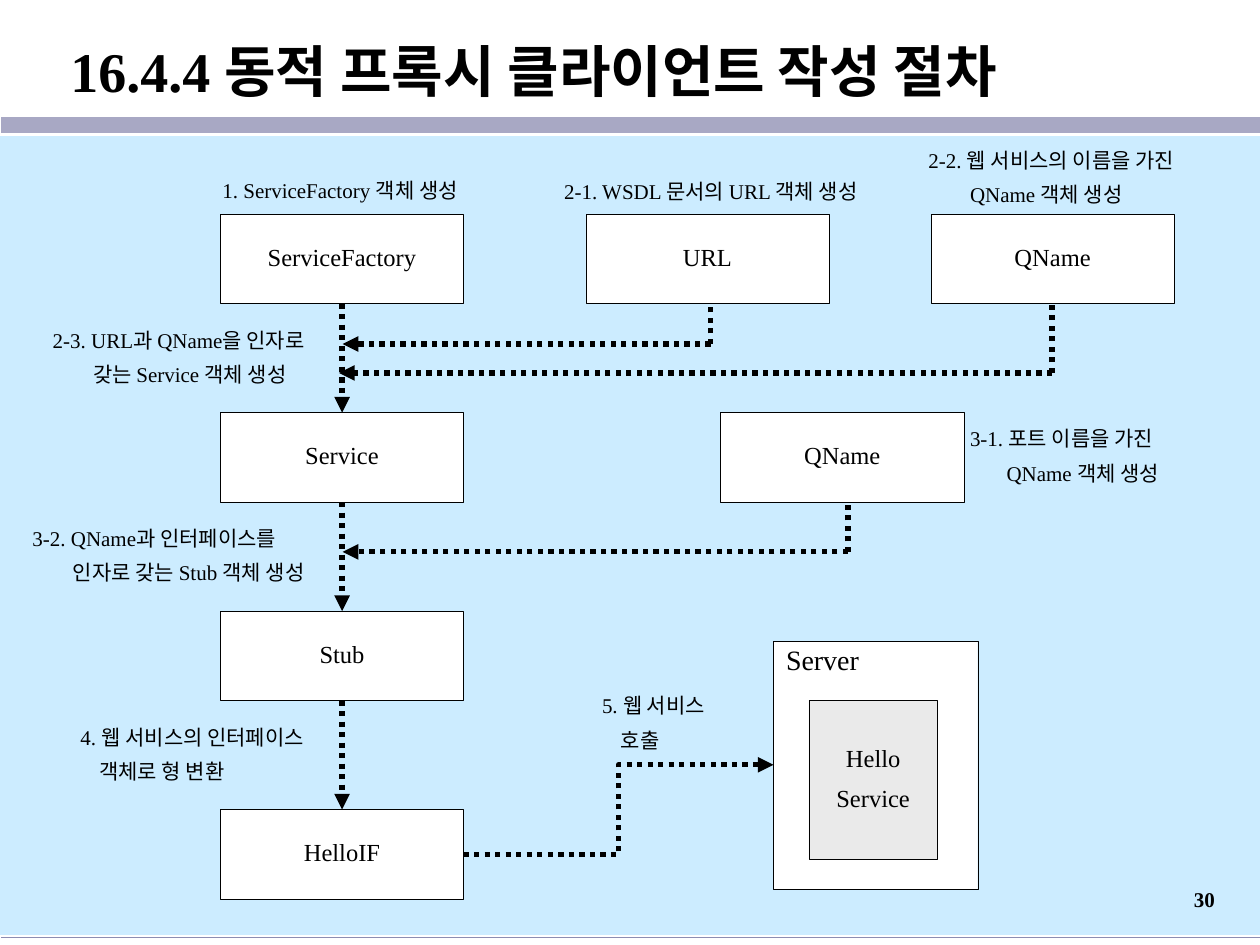
import pptx
import pptx.dml.color
import pptx.enum.dml
import pptx.enum.shapes
import pptx.enum.text
import pptx.oxml
import pptx.oxml.ns
import pptx.util

Inches = pptx.util.Inches
Pt = pptx.util.Pt
ALIGN = pptx.enum.text.PP_ALIGN
ANCHOR = pptx.enum.text.MSO_ANCHOR
CONNECTOR = pptx.enum.shapes.MSO_CONNECTOR

FONT = "Times New Roman"
BOX_WIDTH, BOX_HEIGHT = 1.93, 0.71
FLOW_LEFT, FLOW_TOP, FLOW_STEP = 1.75, 1.7, 1.575
FLOW_X = FLOW_LEFT + BOX_WIDTH / 2


def color(hex_string):
    return pptx.dml.color.RGBColor.from_string(hex_string)


def write(shape, lines, size, align=ALIGN.LEFT, anchor=ANCHOR.TOP,
          bold=False, wrap=False, spacing=0.85, hanging=0):
    """Fill a shape with paragraphs; hanging indents all lines but the first."""
    frame = shape.text_frame
    frame.word_wrap = wrap
    frame.vertical_anchor = anchor
    for index, line in enumerate(lines):
        paragraph = frame.add_paragraph() if index else frame.paragraphs[0]
        paragraph.text = line
        paragraph.alignment = align
        paragraph.line_spacing = spacing
        if index:
            paragraph.space_before = Pt(size * 0.625)
            paragraph._p.get_or_add_pPr().set("marL", str(Inches(hanging)))
        paragraph.font.name = FONT
        paragraph.font.size = Pt(size)
        paragraph.font.bold = bold
        paragraph.font.color.rgb = color("000000")


def add_text(slide, left, top, width, height, lines, size, **style):
    box = slide.shapes.add_textbox(
        Inches(left), Inches(top), Inches(width), Inches(height))
    write(box, lines, size, **style)
    return box


def add_label(slide, left, top, width, lines, hanging=0, align=ALIGN.LEFT):
    height = 0.27 if len(lines) == 1 else 0.55
    box = add_text(slide, left, top, width, height, lines, 12,
                   hanging=hanging, align=align)
    box.text_frame.auto_size = pptx.enum.text.MSO_AUTO_SIZE.SHAPE_TO_FIT_TEXT


def add_rectangle(slide, left, top, width, height, fill, outline=None):
    shape = slide.shapes.add_shape(
        pptx.enum.shapes.MSO_SHAPE.RECTANGLE,
        Inches(left), Inches(top), Inches(width), Inches(height))
    shape.shadow.inherit = False
    shape.fill.solid()
    shape.fill.fore_color.rgb = color(fill)
    if outline:
        shape.line.color.rgb = color(outline)
        shape.line.width = Pt(0.25)
    else:
        shape.line.fill.background()
    return shape


def add_object_box(slide, left, top, lines, width=BOX_WIDTH,
                   height=BOX_HEIGHT, fill="FFFFFF"):
    shape = add_rectangle(slide, left, top, width, height, fill, "000000")
    write(shape, lines, 14, align=ALIGN.CENTER, anchor=ANCHOR.MIDDLE)


def add_line(slide, start, end, line_color, width, kind=CONNECTOR.STRAIGHT):
    connector = slide.shapes.add_connector(
        kind, *(Inches(value) for value in (*start, *end)))
    connector.line.color.rgb = color(line_color)
    connector.line.width = Pt(width)
    connector._element.spPr.append(pptx.oxml.parse_xml(
        f"<a:effectLst {pptx.oxml.ns.nsdecls('a')}/>"))
    return connector


def add_dotted(slide, start, end, arrow=True, kind=CONNECTOR.STRAIGHT):
    connector = add_line(slide, start, end, "000000", 3, kind)
    connector.line.dash_style = pptx.enum.dml.MSO_LINE.ROUND_DOT
    if arrow:
        connector.line._get_or_add_ln().append(pptx.oxml.parse_xml(
            f"<a:tailEnd {pptx.oxml.ns.nsdecls('a')} type='triangle'/>"))


def add_argument_arrow(slide, source_x, source_bottom, y, target_x):
    """Drop from an argument object and point left to the main flow."""
    add_dotted(slide, (source_x, y), (target_x, y))
    add_dotted(slide, (source_x, y), (source_x, source_bottom), arrow=False)


def add_frame(slide):
    add_line(slide, (0.01, 0.99), (10, 0.99), "A8A8C4", 9.25)
    add_rectangle(slide, 0, 1.08, 10, 6.34, "CCECFF")
    add_line(slide, (0.01, 7.44), (10, 7.44), "8C8CB2", 1)
    add_text(slide, 0.46, 0.11, 9.54, 0.9,
             ["16.4.4 동적 프록시 클라이언트 작성 절차"], 32,
             anchor=ANCHOR.MIDDLE, bold=True, wrap=True, spacing=1.0)
    add_text(slide, 7.66, 6.99, 2.08, 0.5, ["30"], 12,
             align=ALIGN.RIGHT, bold=True, wrap=True, spacing=1.0)


def add_objects(slide):
    for row, name in enumerate(["ServiceFactory", "Service", "Stub", "HelloIF"]):
        top = FLOW_TOP + row * FLOW_STEP
        add_object_box(slide, FLOW_LEFT, top, [name])
        if row:
            add_dotted(slide, (FLOW_X, top - FLOW_STEP + BOX_HEIGHT), (FLOW_X, top))
    add_object_box(slide, 4.65, FLOW_TOP, ["URL"])
    add_object_box(slide, 7.39, FLOW_TOP, ["QName"])
    add_object_box(slide, 5.72, FLOW_TOP + FLOW_STEP, ["QName"])

    server = add_rectangle(slide, 6.14, 5.09, 1.62, 1.97, "FFFFFF", "000000")
    write(server, ["Server"], 16)
    add_object_box(slide, 6.42, 5.56, ["Hello", "Service"], 1.02, 1.26, "EAEAEA")


def add_arrows(slide):
    add_argument_arrow(slide, 5.64, 2.41, 2.73, 2.72)
    add_argument_arrow(slide, 8.35, 2.41, 2.96, 2.69)
    add_argument_arrow(slide, 6.73, 3.99, 4.38, 2.72)
    add_dotted(slide, (3.68, 6.78), (6.14, 6.07), kind=CONNECTOR.ELBOW)


def add_labels(slide):
    add_label(slide, 1.62, 1.39, 2.16, ["1. ServiceFactory 객체 생성"],
              align=ALIGN.CENTER)
    add_label(slide, 4.38, 1.4, 2.73, ["2-1. WSDL 문서의 URL 객체 생성"])
    add_label(slide, 7.27, 1.15, 2.32,
              ["2-2. 웹 서비스의 이름을 가진", "QName 객체 생성"], 0.33)
    add_label(slide, 0.32, 2.58, 2.39,
              ["2-3. URL과 QName을 인자로", "갖는 Service 객체 생성"], 0.32)
    add_label(slide, 7.6, 3.36, 1.79,
              ["3-1. 포트 이름을 가진", "QName 객체 생성"], 0.29)
    add_label(slide, 0.16, 4.15, 2.6,
              ["3-2. QName과 인터페이스를", "인자로 갖는 Stub 객체 생성"], 0.32)
    add_label(slide, 0.54, 5.73, 2.11,
              ["4. 웹 서비스의 인터페이스", "객체로 형 변환"], 0.15)
    add_label(slide, 4.68, 5.48, 1.1, ["5. 웹 서비스", "호출"], 0.15)


def main():
    presentation = pptx.Presentation()
    presentation.slide_width = Inches(10)
    presentation.slide_height = Inches(7.5)
    slide = presentation.slides.add_slide(presentation.slide_layouts[6])
    add_frame(slide)
    add_objects(slide)
    add_arrows(slide)
    add_labels(slide)
    presentation.save("out.pptx")


if __name__ == "__main__":
    main()
